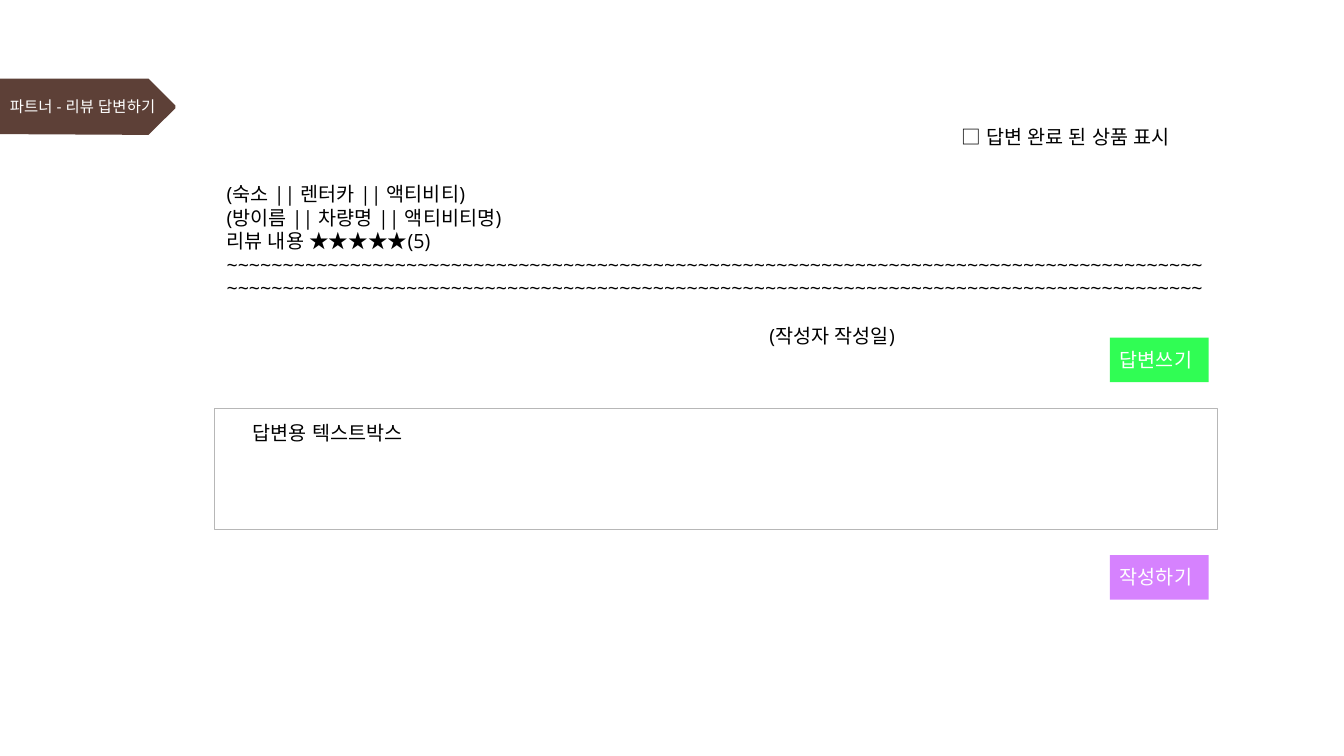
from lxml import etree
from pptx import Presentation
from pptx.dml.color import RGBColor
from pptx.enum.shapes import MSO_SHAPE
from pptx.enum.text import MSO_ANCHOR, MSO_AUTO_SIZE, PP_ALIGN
from pptx.oxml.ns import qn
from pptx.util import Cm, Pt

RECT = MSO_SHAPE.RECTANGLE
TOP, LEFT, GROW = MSO_ANCHOR.TOP, PP_ALIGN.LEFT, MSO_AUTO_SIZE.SHAPE_TO_FIT_TEXT

# Content: text and place (left, top, width, height in cm)
TITLE = ("파트너 - 리뷰 답변하기", (0, 2.21, 25.27, 0.99))
CHECK = ("□ 답변 완료 된 상품 표시", (23.98, 2.9, 6.71, 1.12))
REPLY = ("답변용 텍스트박스", (6.12, 10.36, 24.56, 1.12))
REVIEW = [
    "(숙소 || 렌터카 || 액티비티)",
    "(방이름 || 차량명 || 액티비티명)",
    "리뷰 내용 ★★★★★(5)",
    "~" * 174,
]
AUTHOR = "(작성자 작성일)"
REVIEW_BOX = (5.46, 4.34, 25.17, 4.11)
REPLY_BOX = (5.41, 10.29, 25.27, 3.05)
BUTTONS = [("답변쓰기", 8.51, "green"), ("작성하기", 13.99, "purple")]
BUTTON_X, BUTTON_W, BUTTON_H = 27.97, 2.49, 1.12
TAG = [(0, 1.98), (3.74, 1.98), (4.42, 2.66), (4.42, 2.73), (3.74, 3.4), (0, 3.38)]

THEME = {
    "font": "Open Sans", "small": 11, "body": 14,
    "ink": "000000", "white": "FFFFFF", "brown": "5D4037", "edge": "B7B7B7",
    "green": ("00FD2D", 81), "purple": ("AC00FD", 49),
}

deck = Presentation()
deck.slide_width, deck.slide_height = Cm(33.87), Cm(19.05)
slide = deck.slides.add_slide(deck.slide_layouts[6])
shapes = slide.shapes


def place(box):
    return [Cm(n) for n in box]


def write(shape, lines, size="body", color="ink"):
    frame = shape.text_frame
    frame.word_wrap, frame.auto_size = True, GROW
    frame.vertical_anchor = TOP
    frame.margin_left = frame.margin_right = Cm(0.25)
    frame.margin_top = frame.margin_bottom = Cm(0.25)
    for i, line in enumerate(lines):
        para = frame.add_paragraph() if i else frame.paragraphs[0]
        para.alignment = LEFT
        run = para.add_run()
        run.text = line
        font = run.font
        font.name, font.size = THEME["font"], Pt(THEME[size])
        font.color.rgb = RGBColor.from_string(THEME[color])
        etree.SubElement(font._element, qn("a:ea"), typeface=THEME["font"])
    return frame


def label(text, box, **style):
    return write(shapes.add_textbox(*place(box)), [text], **style)


# Title tag
pen = shapes.build_freeform(*place(TAG[0]))
pen.add_line_segments([place(dot) for dot in TAG[1:]], close=True)
tag = pen.convert_to_shape()
tag.shadow.inherit = False
tag.fill.solid()
tag.fill.fore_color.rgb = RGBColor.from_string(THEME["brown"])
tag.line.fill.background()
label(*TITLE, size="small", color="white")

# Review, with its author set in from the left
review = write(shapes.add_textbox(*place(REVIEW_BOX)), REVIEW + [AUTHOR])
author = review.paragraphs[-1]
author.space_before = Pt(17)
author._p.get_or_add_pPr().set("marL", str(Cm(13.68)))

# Checkbox and reply labels
label(*CHECK)
label(*REPLY)

# Buttons
for text, top, tint in BUTTONS:
    button = shapes.add_shape(RECT, *place((BUTTON_X, top, BUTTON_W, BUTTON_H)))
    button.shadow.inherit = False
    shade, alpha = THEME[tint]
    button.fill.solid()
    button.fill.fore_color.rgb = RGBColor.from_string(shade)
    paint = button._element.spPr.find(".//" + qn("a:srgbClr"))
    etree.SubElement(paint, qn("a:alpha"), val=str(alpha * 1000))
    button.line.fill.background()
    write(button, [text], color="white")

# Reply frame
frame = shapes.add_shape(RECT, *place(REPLY_BOX))
frame.shadow.inherit = False
frame.fill.background()
frame.line.color.rgb = RGBColor.from_string(THEME["edge"])
frame.line.width = Pt(0.75)

deck.save("out.pptx")
